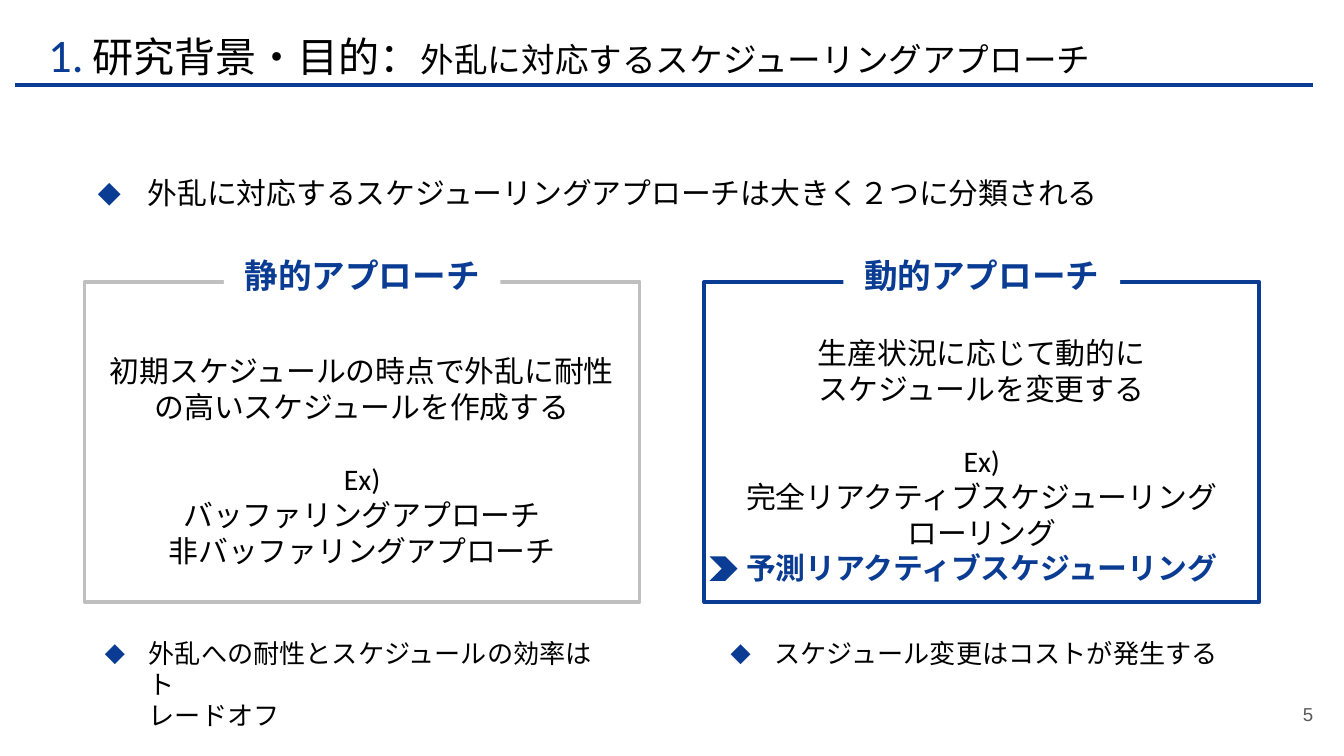
import pptx
import pptx.dml.color
import pptx.enum.shapes
import pptx.enum.text
import pptx.oxml
import pptx.oxml.ns
import pptx.util
from pptx.util import Cm

RGBColor = pptx.dml.color.RGBColor
Pt = pptx.util.Pt
Shape = pptx.enum.shapes.MSO_SHAPE
Align = pptx.enum.text.PP_ALIGN
Anchor = pptx.enum.text.MSO_ANCHOR

BLUE = RGBColor(0x09, 0x3C, 0x92)
BLACK = RGBColor(0x00, 0x00, 0x00)
WHITE = RGBColor(0xFF, 0xFF, 0xFF)
LIGHT_GRAY = RGBColor(0xBF, 0xBF, 0xBF)
DARK_GRAY = RGBColor(0x59, 0x59, 0x59)

PANEL_LEFTS = (1.6, 13.31)
PANEL_WIDTH = 10.49
BLANK_LINE = 19.5


def write_text(para, text, size=16, font="Calibri", color=BLACK, bold=False,
               align=Align.LEFT, before=0):
    """Append one formatted span to a paragraph."""
    para.alignment = align
    para.space_before = Pt(before)
    span = para.add_run()
    span.text = text
    span.font.size = Pt(size)
    span.font.name = font
    span.font.color.rgb = color
    span.font.bold = bold


def set_frame(box, left, top, width, height, anchor=Anchor.TOP):
    """Place a text holder and give it even margins."""
    box.left, box.top, box.width, box.height = map(Cm, (left, top, width, height))
    frame = box.text_frame
    frame.word_wrap = True
    frame.auto_size = pptx.enum.text.MSO_AUTO_SIZE.NONE
    frame.vertical_anchor = anchor
    frame.margin_left = frame.margin_right = Cm(0.25)
    frame.margin_top = frame.margin_bottom = Cm(0.25)
    return frame


def add_bullet(para, indent):
    """Give a paragraph a blue diamond with a hanging indent."""
    properties = para._p.get_or_add_pPr()
    properties.set("marL", str(Cm(indent)))
    properties.set("indent", str(-Cm(indent)))
    namespace = pptx.oxml.ns.nsdecls("a")
    for xml in (f'<a:buClr {namespace}><a:srgbClr val="{BLUE}"/></a:buClr>',
                f'<a:buFont {namespace} typeface="Calibri"/>',
                f'<a:buChar {namespace} char="◆"/>'):
        properties.append(pptx.oxml.parse_xml(xml))


def fill_list(box, text, left, top, width, height, indent, size):
    """Write a one-item bulleted list, with a line break at each newline."""
    para = set_frame(box, left, top, width, height).paragraphs[0]
    add_bullet(para, indent)
    for number, line in enumerate(text.split("\n")):
        if number:
            para.add_line_break()
        write_text(para, line, size=size)


def add_block(page, kind, left, top, width, height, fill, outline=None):
    """Draw a flat preset shape."""
    block = page.shapes.add_shape(kind, Cm(left), Cm(top), Cm(width), Cm(height))
    block.shadow.inherit = False
    block.fill.solid()
    block.fill.fore_color.rgb = fill
    if outline is None:
        block.line.fill.background()
    else:
        block.line.color.rgb = outline
        block.line.width = Pt(2)
    block.text_frame.word_wrap = True
    block.text_frame.vertical_anchor = Anchor.MIDDLE
    return block


def add_panel(page, left, heading, outline, description, examples, chosen=None):
    """Draw a framed approach with its heading set into the top edge."""
    panel = add_block(page, Shape.RECTANGLE, left, 5.33, PANEL_WIDTH, 6.05,
                      WHITE, outline)
    frame = panel.text_frame
    frame.margin_top = Pt(BLANK_LINE + 3.6)
    for number, line in enumerate(description + ["Ex)"] + examples):
        para = frame.add_paragraph() if number else frame.paragraphs[0]
        write_text(para, line, align=Align.CENTER,
                   color=BLUE if line == chosen else BLACK,
                   bold=line == chosen,
                   before=BLANK_LINE if line == "Ex)" else 0)

    width = 5.23
    label = add_block(page, Shape.RECTANGLE, left + (PANEL_WIDTH - width) / 2,
                      4.5, width, 1.4, WHITE)
    write_text(label.text_frame.paragraphs[0], heading, size=18, font="Arial",
               color=BLUE, bold=True, align=Align.CENTER)


def add_rule(page, left, right, top):
    """Draw the line under the title."""
    rule = page.shapes.add_connector(pptx.enum.shapes.MSO_CONNECTOR.STRAIGHT,
                                     Cm(left), Cm(top), Cm(right), Cm(top))
    rule.line.color.rgb = BLUE
    rule.line.width = Pt(2.25)
    rule._element.spPr.append(pptx.oxml.parse_xml(
        f'<a:effectLst {pptx.oxml.ns.nsdecls("a")}/>'))


def main():
    deck = pptx.Presentation()
    deck.slide_width, deck.slide_height = Cm(25.4), Cm(14.29)
    page = deck.slides.add_slide(deck.slide_layouts.get_by_name("Comparison"))
    holders = {box.placeholder_format.idx: box for box in page.placeholders}
    spare = holders[3]._element
    spare.getparent().remove(spare)

    # Title
    title = set_frame(page.shapes.title, 0.66, 0.23, 23.14, 1.57).paragraphs[0]
    for text, size, color in (("1.", 25, BLUE), (" ", 22, BLACK),
                              ("研究背景・目的：", 22, BLACK),
                              ("外乱に対応するスケジューリングアプローチ", 18, BLACK)):
        write_text(title, text, size=size, color=color)
    add_rule(page, 0.28, 24.82, 1.6)

    # Lead and notes
    fill_list(holders[1], "外乱に対応するスケジューリングアプローチは大きく２つに分類される",
              1.6, 3.05, 22.2, 1.19, indent=0.94, size=16)
    notes = ("外乱への耐性とスケジュールの効率はト\nレードオフ",
             "スケジュール変更はコストが発生する")
    for index, text, left in zip((2, 4), notes, (1.73, 13.56)):
        fill_list(holders[index], text, left, 11.79, 10.21, 1.7,
                  indent=0.83, size=14)

    # The two approaches
    add_panel(page, PANEL_LEFTS[0], "静的アプローチ", LIGHT_GRAY,
              ["初期スケジュールの時点で外乱に耐性の高いスケジュールを作成する"],
              ["バッファリングアプローチ", "非バッファリングアプローチ"])
    add_panel(page, PANEL_LEFTS[1], "動的アプローチ", BLUE,
              ["生産状況に応じて動的に", "スケジュールを変更する"],
              ["完全リアクティブスケジューリング", "ローリング",
               "予測リアクティブスケジューリング"],
              chosen="予測リアクティブスケジューリング")
    add_block(page, Shape.CHEVRON, 13.41, 10.52, 0.53, 0.46, BLUE)

    # Page number
    number_box = page.shapes.add_textbox(0, 0, 0, 0)
    frame = set_frame(number_box, 23.55, 12.95, 1.52, 1.09, Anchor.MIDDLE)
    write_text(frame.paragraphs[0], "5", size=10, font="Arial",
               color=DARK_GRAY, align=Align.RIGHT)

    deck.save("out.pptx")


if __name__ == "__main__":
    main()
